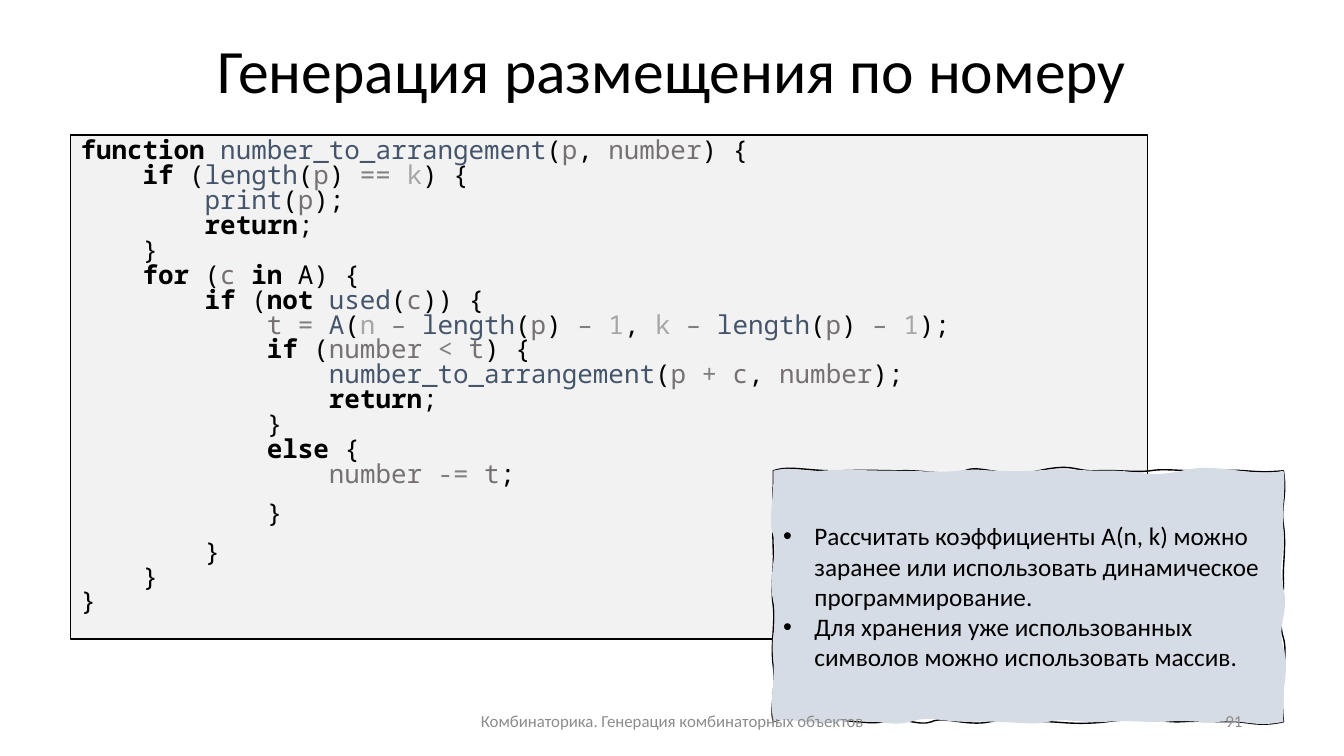
import itertools
from dataclasses import dataclass

import lxml.etree
import pptx
import pptx.dml.color
import pptx.enum.shapes
import pptx.enum.text
import pptx.oxml.ns
import pptx.util

PX = 9144  # EMU per px, 100 px to the inch
ALIGN = pptx.enum.text.PP_ALIGN
ANCHOR = pptx.enum.text.MSO_ANCHOR


@dataclass(frozen=True)
class Theme:
    black: str = "000000"
    code_fill: str = "F2F2F2"
    note_fill: str = "D6DCE5"
    footer: str = "8C8C8C"
    function: str = "44546A"
    variable: str = "767171"
    operator: str = "808080"
    constant: str = "A6A6A6"
    font: str = "Calibri"
    code_font: str = "Noto Sans Mono"
    bullet_font: str = "Arial"
    title_size: float = 44
    code_size: float = 18.5
    note_size: float = 18
    footer_size: float = 12


THEME = Theme()

KEYWORDS = {"function", "if", "return", "for", "in", "not", "else"}
VARIABLES = {"p", "number", "c", "t"}
CONSTANTS = {"n", "k", "1"}
OPERATORS = "=<+-–"

# Each string is one paragraph of the listing
CODE = [
    """function number_to_arrangement(p, number) {
    if (length(p) == k) {
        print(p);
        return;
    }
    for (c in A) {
        if (not used(c)) {
            t = A(n – length(p) – 1, k – length(p) – 1);
            if (number < t) {
                number_to_arrangement(p + c, number);
                return;
            }
            else {
                number -= t;""",
    "            }",
    "        }\n    }\n}",
]

NOTES = [
    "Рассчитать коэффициенты A(n, k) можно заранее или использовать динамическое программирование.",
    "Для хранения уже использованных символов можно использовать массив.",
]

# Hand-drawn edges (top, right, bottom, left): every curve holds two control
# points as (along edge, offset from edge), then its end along the edge
NOTE_OUTLINE = [
    [(17, -6, 36, 1, 68), (100, -1, 102, 0, 126), (151, -1, 174, 6, 190), (205, -7, 227, 8, 263),
     (299, -8, 298, 1, 321), (345, -1, 358, 2, 374), (390, -3, 415, 2, 443), (470, -2, 475, 3, 506)],
    [(26, 4, 34, -3, 54), (75, 3, 95, -1, 109), (123, 1, 149, -6, 166), (184, 5, 211, -4, 249)],
    [(480, 6, 469, -1, 453), (437, 0, 421, -1, 405), (388, 1, 365, -5, 331), (297, 4, 281, -1, 263),
     (244, 0, 238, -5, 215), (192, 5, 169, -6, 157), (144, 5, 128, -6, 109), (89, 5, 28, -12, 0)],
    [(237, -4, 215, 3, 194), (173, -3, 153, 2, 134), (115, -3, 96, 1, 79), (62, -1, 22, 0, 0)],
]
NOTE_BODY = [
    [(19, -5, 29, 2, 48), (67, -2, 95, 0, 121), (148, 0, 168, 2, 184), (200, -3, 224, 2, 258),
     (292, -3, 300, 0, 331), (363, -1, 369, 8, 405), (440, -9, 474, 7, 506)],
    [(12, 3, 38, -2, 59), (81, 2, 94, -6, 117), (139, 6, 154, -7, 176), (199, 7, 215, -3, 249)],
    [(477, 6, 471, -2, 443), (414, 1, 415, -2, 389), (364, 1, 356, -2, 331), (307, 2, 290, -4, 273),
     (256, 4, 236, -1, 200), (164, 1, 158, -7, 136), (115, 6, 97, -5, 63), (29, 4, 14, -6, 0)],
    [(226, -4, 209, 2, 186), (164, -3, 151, 5, 129), (108, -6, 80, 5, 64), (49, -6, 31, 1, 0)],
]


def emu(box):
    return [length * PX for length in box]


def rgb(color):
    return pptx.dml.color.RGBColor.from_string(color)


def add_element(parent, tag, **attributes):
    return lxml.etree.SubElement(parent, pptx.oxml.ns.qn(tag), attributes)


def write_text(frame, paragraphs, *, size, font=THEME.font, color=THEME.black, align=ALIGN.LEFT,
               anchor=ANCHOR.MIDDLE, spacing=None, before=0, bullet_indent=0, split=None):
    """Fill a frame; split turns a line into (text, color, bold) runs."""
    frame.word_wrap = True
    frame.vertical_anchor = anchor
    for index, content in enumerate(paragraphs):
        paragraph = frame.add_paragraph() if index else frame.paragraphs[0]
        paragraph.alignment = align
        if spacing:
            paragraph.line_spacing = spacing
        if index and before:
            paragraph.space_before = pptx.util.Pt(before)
        if bullet_indent:
            properties = paragraph._p.get_or_add_pPr()
            properties.set("marL", str(bullet_indent * PX))
            properties.set("indent", str(-bullet_indent * PX))
            add_element(properties, "a:buFont", typeface=THEME.bullet_font)
            add_element(properties, "a:buChar", char="•")
        for row, line in enumerate(content.split("\n")):
            if row:
                paragraph.add_line_break()
            for words, run_color, bold in split(line) if split else [(line, color, False)]:
                run = paragraph.add_run()
                run.text = words
                run.font.name = font
                run.font.size = pptx.util.Pt(size)
                run.font.bold = bold
                run.font.color.rgb = rgb(run_color)


def paint(shape, fill, line):
    shape.shadow.inherit = False
    shape.fill.solid()
    shape.fill.fore_color.rgb = rgb(fill)
    shape.line.color.rgb = rgb(line)
    shape.line.width = pptx.util.Pt(1)


def highlight(line):
    """Split a line of code into coloured tokens."""
    def kind(char):
        return "word" if char.isalnum() or char == "_" else "operator" if char in OPERATORS else "plain"

    tokens = [(key, "".join(chars)) for key, chars in itertools.groupby(line, kind)]
    for (key, token), (_, following) in zip(tokens, tokens[1:] + [("plain", "")]):
        color = THEME.black
        if key == "operator":
            color = THEME.operator
        elif token in VARIABLES:
            color = THEME.variable
        elif token in CONSTANTS:
            color = THEME.constant
        elif key == "word" and following.startswith("("):
            color = THEME.function
        yield token, color, token in KEYWORDS


def add_wavy_outline(outlines, width, height, edges, **attributes):
    """Add one closed curve that runs along the four edges."""
    outline = add_element(outlines, "a:path", w=str(width), h=str(height), **attributes)

    def add_points(tag, points):
        command = add_element(outline, tag)
        for x, y in points:
            add_element(command, "a:pt", x=str(x), y=str(y))

    places = [
        lambda along, off: (along, off),
        lambda along, off: (width + off, along),
        lambda along, off: (along, height + off),
        lambda along, off: (off, along),
    ]
    add_points("a:moveTo", [(0, 0)])
    for place, curves in zip(places, edges):
        for a1, o1, a2, o2, end in curves:
            add_points("a:cubicBezTo", [place(a1, o1), place(a2, o2), place(end, 0)])
    add_element(outline, "a:close")


def add_title(slide, box, title):
    heading = slide.shapes.title
    heading.left, heading.top, heading.width, heading.height = emu(box)
    write_text(heading.text_frame, [title], size=THEME.title_size, align=ALIGN.CENTER, spacing=0.9)


def add_code(slide, box):
    panel = slide.shapes.add_shape(pptx.enum.shapes.MSO_SHAPE.RECTANGLE, *emu(box))
    paint(panel, THEME.code_fill, THEME.black)
    write_text(panel.text_frame, CODE, size=THEME.code_size, font=THEME.code_font,
               anchor=ANCHOR.TOP, spacing=0.8, before=10, split=highlight)


def add_note(slide, box):
    left, top, width, height = box
    builder = slide.shapes.build_freeform(0, 0, scale=PX)
    builder.add_line_segments([(width, 0), (width, height), (0, height)], close=True)
    note = builder.convert_to_shape(left, top)
    note.left, note.top = emu((left, top))
    # Bend the straight sides: an unfilled line, then a fill without a line
    outlines = note._element.spPr.find(".//" + pptx.oxml.ns.qn("a:pathLst"))
    outlines.remove(outlines[0])
    add_wavy_outline(outlines, width, height, NOTE_OUTLINE, fill="none")
    add_wavy_outline(outlines, width, height, NOTE_BODY, stroke="0")
    paint(note, THEME.note_fill, THEME.black)
    write_text(note.text_frame, NOTES, size=THEME.note_size, bullet_indent=31)


def add_footer(slide, box, label, align):
    footer = slide.shapes.add_textbox(*emu(box))
    write_text(footer.text_frame, [label], size=THEME.footer_size, color=THEME.footer, align=align)


def main():
    deck = pptx.Presentation()
    deck.slide_width, deck.slide_height = emu((1333, 750))
    slide = deck.slides.add_slide(deck.slide_layouts[5])
    add_title(slide, (92, 0, 1150, 145), "Генерация размещения по номеру")
    add_code(slide, (70, 134, 1068, 500))
    add_note(slide, (767, 467, 506, 249))
    add_footer(slide, (442, 695, 450, 40), "Комбинаторика. Генерация комбинаторных объектов", ALIGN.CENTER)
    add_footer(slide, (942, 695, 300, 40), "91", ALIGN.RIGHT)
    deck.save("out.pptx")


if __name__ == "__main__":
    main()
